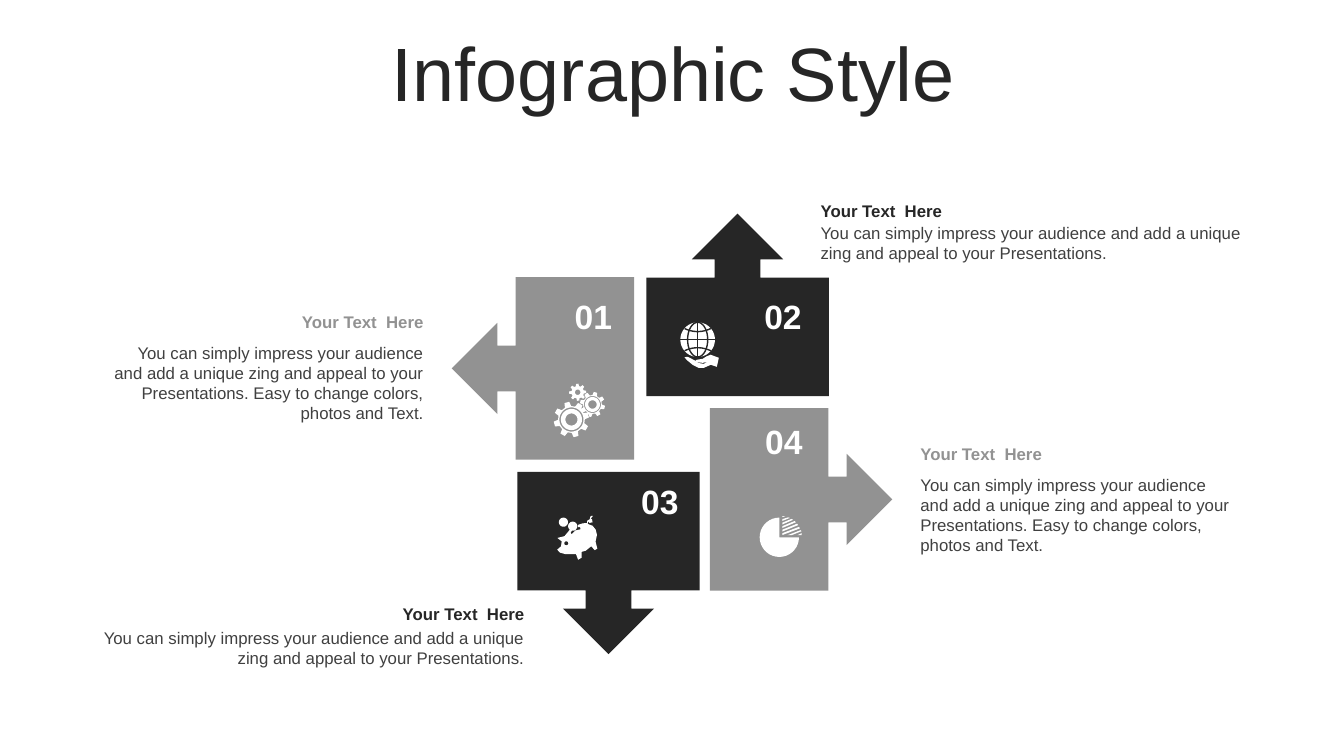
import math

import pptx
import pptx.dml.color
import pptx.enum.shapes
import pptx.enum.text
import pptx.util

COLORS = {"dark": "262626", "gray": "929292", "body": "404040", "white": "FFFFFF"}
ALIGN = pptx.enum.text.PP_ALIGN
ANCHOR = pptx.enum.text.MSO_ANCHOR
CALLOUT = pptx.enum.shapes.MSO_SHAPE.UP_ARROW_CALLOUT
COLUMNS, ROWS = 133.3, 75
FONT = "Arial"

HEADING = "Your Text  Here"
SHORT_TEXT = ("You can simply impress your audience and add a unique zing "
              "and appeal to your Presentations.")
LONG_TEXT = SHORT_TEXT + " Easy to change colors, photos and Text."

HAND = [(70.5, 35.2), (71.3, 35.5), (71.1, 36.4), (70.5, 36.2), (69.8, 36.5),
        (69.3, 36.5), (68.7, 36.2), (68.1, 35.7), (67.9, 35.45), (68.2, 35.4),
        (69, 35.8), (69.2, 36), (69.8, 36.1), (70.2, 35.9), (69.7, 36),
        (69.2, 35.95), (69, 35.8), (69.1, 35.7), (69.7, 35.6), (70.1, 35.35)]
PIG = [(59.5, 52.2), (59.5, 52.3), (59.2, 52.4), (59.3, 52.5), (59.2, 52.8),
       (58.9, 52.7), (58.85, 52.5), (58.7, 52.7), (59.03, 53.1), (59.1, 53.6),
       (58.95, 54.1), (58.5, 54.6), (58.3, 55.3), (58, 55.3), (57.9, 54.8),
       (57.2, 54.9), (56.8, 54.8), (56.5, 55.3), (56.1, 55.3), (56.2, 54.7),
       (55.3, 54.2), (54.9, 53.8), (54.8, 53.4), (55.3, 53.3), (55.6, 52.9),
       (55.4, 52.4), (56.1, 52.6), (56.9, 52.3), (57, 52.5), (56.8, 52.6),
       (56.8, 52.8), (57.3, 52.65), (57.8, 52.8), (57.9, 52.6), (57.7, 52.5),
       (57.8, 52.3), (58.3, 52.4), (58.7, 52.6), (58.8, 52.4), (59.1, 52.4),
       (59.3, 52.2)]


def polar(x, y, radius, degrees, squeeze=1):
    turn = math.radians(degrees)
    return x + squeeze * radius * math.cos(turn), y + radius * math.sin(turn)


def circle(x, y, radius, squeeze=1):
    return [polar(x, y, radius, step, squeeze) for step in range(0, 360, 10)]


def gear(x, y, root, tip, tilt):
    outline = []
    for tooth in range(8):
        middle = tilt + 45 * tooth
        for offset, radius in ((-14, root), (-8, tip), (8, tip), (14, root)):
            outline.append(polar(x, y, radius, middle + offset))
    return outline


class Infographic:
    def __init__(self, deck):
        self.slide = deck.slides.add_slide(deck.slide_layouts[6])
        self.column = deck.slide_width / COLUMNS
        self.row = deck.slide_height / ROWS

    def place(self, x, y):
        return round(x * self.column), round(y * self.row)

    def color(self, name):
        return pptx.dml.color.RGBColor.from_string(COLORS[name])

    def fill(self, part, name):
        part.shadow.inherit = False
        part.fill.solid()
        part.fill.fore_color.rgb = self.color(name)
        part.line.fill.background()

    def text(self, x, y, width, height, words, size, color, align=ALIGN.LEFT,
             bold=False, anchor=ANCHOR.TOP, spacing=1.0):
        box = self.slide.shapes.add_textbox(*self.place(x, y), *self.place(width, height))
        frame = box.text_frame
        frame.word_wrap = True
        frame.vertical_anchor = anchor
        frame.text = words
        paragraph = frame.paragraphs[0]
        paragraph.alignment = align
        paragraph.line_spacing = spacing
        font = paragraph.runs[0].font
        font.name, font.size, font.bold = FONT, pptx.util.Pt(size), bold
        font.color.rgb = self.color(color)

    def callout(self, x, y, rotation, color):
        block = self.slide.shapes.add_shape(CALLOUT, *self.place(x, y), *self.place(18.1, 18.1))
        block.rotation = rotation
        self.fill(block, color)

    def outline(self, contours, closed):
        builder = None
        for contour in contours:
            first, *others = [self.place(*point) for point in contour]
            if builder is None:
                builder = self.slide.shapes.build_freeform(*first, scale=1.0)
            else:
                builder.move_to(*first)
            builder.add_line_segments(others, close=closed)
        return builder.convert_to_shape()

    def icon(self, contours, rotation=0):
        drawing = self.outline(contours, True)
        drawing.rotation = rotation
        self.fill(drawing, "white")

    def strokes(self, lines, color):
        drawing = self.outline(lines, False)
        drawing.shadow.inherit = False
        drawing.fill.background()
        drawing.line.color.rgb = self.color(color)
        drawing.line.width = pptx.util.Pt(1)


def draw_globe(page):
    x, y, radius = 69.2, 33.7, 1.72
    page.icon([circle(x, y, radius), HAND])
    meridian = circle(x, y, radius, 0.58)
    lines = [[(x, y - radius), (x, y + radius)], [(x - radius, y), (x + radius, y)],
             meridian + meridian[:1]]
    for side in (-1, 1):
        lines.append([(x + step / 10, y + side * (0.8 + 0.3 * (step / 13) ** 2))
                      for step in range(-13, 14)])
    page.strokes(lines, "dark")


def draw_gears(page):
    contours = []
    for x, y, root, tip, tilt, rings in (
            (56.45, 41.4, 1.33, 1.77, 0, (1.2, 1.05, 0.6)),
            (58.85, 40.5, 0.93, 1.25, -16, (0.84, 0.74, 0.42)),
            (57.75, 38.95, 0.62, 0.85, 12, (0.27,))):
        contours.append(gear(x, y, root, tip, tilt))
        contours += [circle(x, y, ring) for ring in rings]
    page.icon(contours, 345)


def draw_pig(page):
    page.icon([PIG, circle(55.9, 53.3, 0.2), circle(56.7, 51.35, 0.45),
               circle(57.3, 52.15, 0.45)], 330)


def draw_pie(page):
    pie = [(77.3, 53.3)] + [polar(77.3, 53.3, 1.95, turn) for turn in range(0, 271, 10)]
    contours = [pie, [(77.6, 51.2), (77.9, 51.2), (77.6, 51.3)],
                [(79.4, 52.6), (79.5, 52.7), (78.5, 53.1), (78.1, 53.1)],
                [(79.5, 52.9), (79.5, 53.1), (79.1, 53.1)]]
    for stripe in range(5):
        top, turn = 51.5 + 0.35 * stripe, -70 + 10.5 * stripe
        contours.append([(77.6, top), polar(77.5, 53.2, 2, turn),
                         polar(77.5, 53.2, 2, turn + 5), (77.6, top + 0.18)])
    page.icon(contours)


def main():
    deck = pptx.Presentation()
    deck.slide_width, deck.slide_height = pptx.util.Inches(13.33), pptx.util.Inches(7.5)
    page = Infographic(deck)
    page.text(3.5, 3.7, 126.6, 7.9, "Infographic Style", 54, "dark", ALIGN.CENTER,
              anchor=ANCHOR.MIDDLE, spacing=0.9)

    for x, heading_y, text_y, width, height, words, color, align in (
            (90.3, 43.5, 46.6, 32.9, 9.1, LONG_TEXT, "gray", ALIGN.LEFT),
            (9.3, 59.4, 61.8, 43.7, 5, SHORT_TEXT, "dark", ALIGN.RIGHT),
            (10, 30.4, 33.5, 33, 9.1, LONG_TEXT, "gray", ALIGN.RIGHT),
            (80.4, 19.4, 21.6, 44.1, 5, SHORT_TEXT, "dark", ALIGN.LEFT)):
        page.text(x, text_y, width, height, words, 12, "body", align)
        page.text(x, heading_y, width, 3, HEADING, 12, color, align, bold=True)

    for number, x, y, rotation, color, number_x, number_y in (
            ("04", 70.4, 40.5, 90, "gray", 74.5, 41.3),
            ("03", 51.3, 46.8, 180, "dark", 62.2, 47.2),
            ("01", 44.8, 27.5, 270, "gray", 55.6, 28.9),
            ("02", 64.1, 21.2, 0, "dark", 74.4, 28.9)):
        page.callout(x, y, rotation, color)
        page.text(number_x, number_y, 6.5, 5, number, 24, "white", ALIGN.CENTER, bold=True)

    for draw in (draw_globe, draw_pig, draw_gears, draw_pie):
        draw(page)
    deck.save("out.pptx")


if __name__ == "__main__":
    main()
